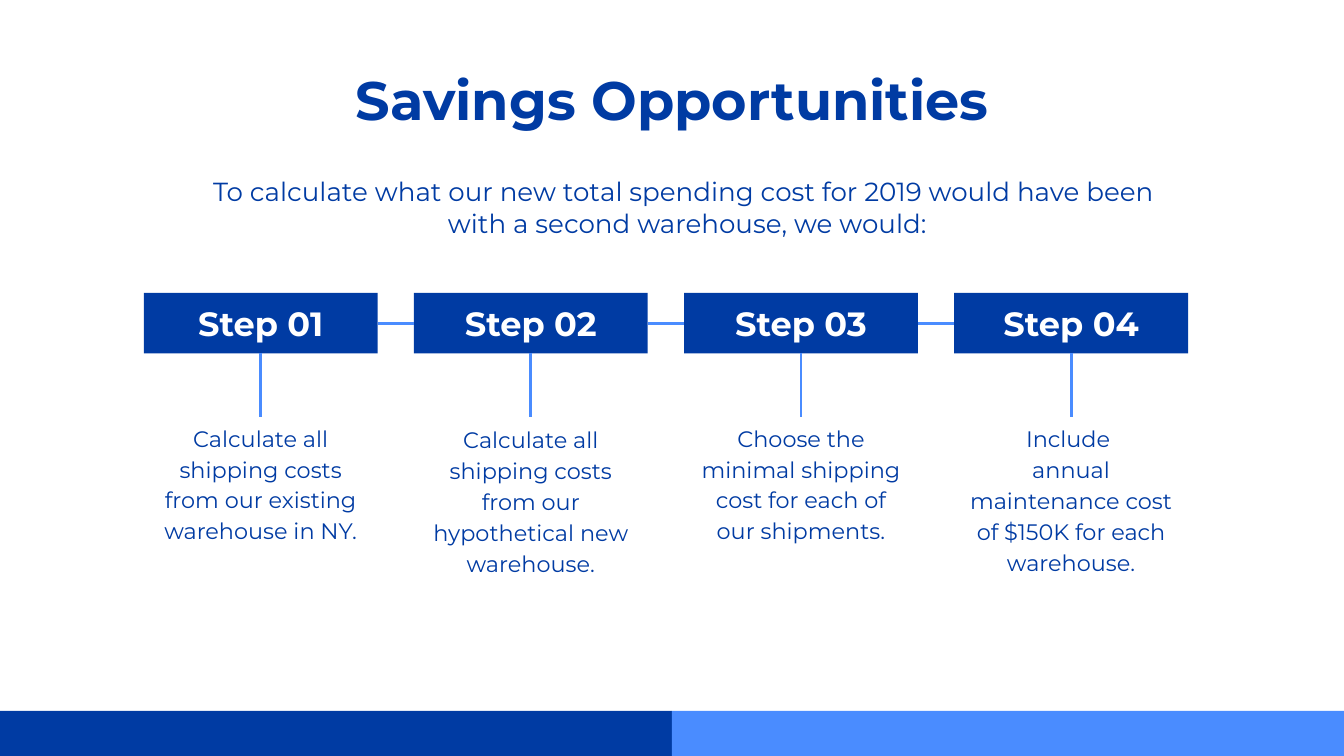
from pptx import Presentation
from pptx.dml.color import RGBColor
from pptx.enum.shapes import MSO_CONNECTOR as Connector, MSO_SHAPE as Shape
from pptx.enum.text import MSO_ANCHOR as Anchor, PP_ALIGN as Align
from pptx.oxml.ns import qn
from pptx.util import Inches, Pt
from lxml.etree import SubElement

NAVY, SKY, WHITE = "003BA3", "4A8CFF", "FFFFFF"
BOTTOM, LEFT, RIGHT = 2, 1, 3
STEP_LEFT, STEP_PITCH, STEP_WIDTH = 1.07, 2.01, 1.74
STEP_TOP, STEP_HEIGHT, STEM_END = 2.18, 0.45, 3.1


def color(value):
    return RGBColor.from_string(value)


def write(box, text, size, ink=NAVY, bold=False, anchor=Anchor.MIDDLE, spacing=1.0):
    frame = box.text_frame
    frame.word_wrap = True
    frame.vertical_anchor = anchor
    frame.margin_left = frame.margin_right = Inches(0.1)
    frame.margin_top = frame.margin_bottom = Inches(0.1)
    frame.text = text
    for para in frame.paragraphs:
        para.alignment = Align.CENTER
        para.line_spacing = spacing
        for span in para.runs:
            span.font.name = "Montserrat"
            span.font.size = Pt(size)
            span.font.bold = bold
            span.font.color.rgb = color(ink)


# Widescreen page, 16:9
deck = Presentation()
deck.slide_width = Inches(10)
deck.slide_height = Inches(10) * 9 // 16
page = deck.slides.add_slide(deck.slide_layouts[5])
page.background.fill.solid()
page.background.fill.fore_color.rgb = color(WHITE)

# Title
title = page.shapes.title
title.left, title.top = Inches(0.79), Inches(0.39)
title.width, title.height = Inches(8.43), Inches(0.61)
write(title, "Savings Opportunities", 29, bold=True, anchor=Anchor.TOP)

# Introduction
intro = page.shapes.add_textbox(Inches(0.51), Inches(1.21), Inches(9.21), Inches(0.66))
write(intro, "To calculate what our new total spending cost for 2019 would have been \n"
             "with a second warehouse, we would:", 14)

# Filled rectangles: two footer bars, then the step headers
steps = [  # description, its top and height
    ("Calculate all shipping costs from our existing warehouse in NY.", 3.1, 0.98),
    ("Calculate all shipping costs from our hypothetical new warehouse.", 3.16, 1.11),
    ("Choose the minimal shipping cost for each of our shipments.", 3.1, 0.98),
    ("Include \nannual maintenance cost of $150K for each warehouse.", 3.12, 1.18),
]
lefts = [STEP_LEFT + i * STEP_PITCH for i in range(len(steps))]
rectangles = [(0, 5.29, 5, 0.34, NAVY), (5, 5.29, 5, 0.34, SKY)]
rectangles += [(left, STEP_TOP, STEP_WIDTH, STEP_HEIGHT, NAVY) for left in lefts]
boxes = []
for *place, fill in rectangles:
    box = page.shapes.add_shape(Shape.RECTANGLE, *[Inches(length) for length in place])
    box.shadow.inherit = False
    box.fill.solid()
    box.fill.fore_color.rgb = color(fill)
    box.line.fill.background()
    boxes.append(box)
headers = boxes[2:]

# Step headings and descriptions
for number, (header, left, step) in enumerate(zip(headers, lefts, steps), 1):
    text, top, height = step
    write(header, f"Step {number:02}", 18, ink=WHITE, bold=True)
    description = page.shapes.add_textbox(
        Inches(left), Inches(top), Inches(STEP_WIDTH), Inches(height))
    write(description, text, 12, spacing=1.15)

# Stems below the headers and links between neighbours
joints = [(header, BOTTOM, None) for header in headers]
joints += [(header, RIGHT, following) for header, following in zip(headers, headers[1:])]
for header, side, following in joints:
    middle = header.left + header.width // 2
    line = page.shapes.add_connector(
        Connector.STRAIGHT, middle, header.top + header.height, middle, Inches(STEM_END))
    line.begin_connect(header, side)
    if following is not None:
        line.end_connect(following, LEFT)
    line.line.color.rgb = color(SKY)
    line.line.width = Pt(1.5)
    SubElement(line._element.spPr, qn("a:effectLst"))

deck.save("out.pptx")
